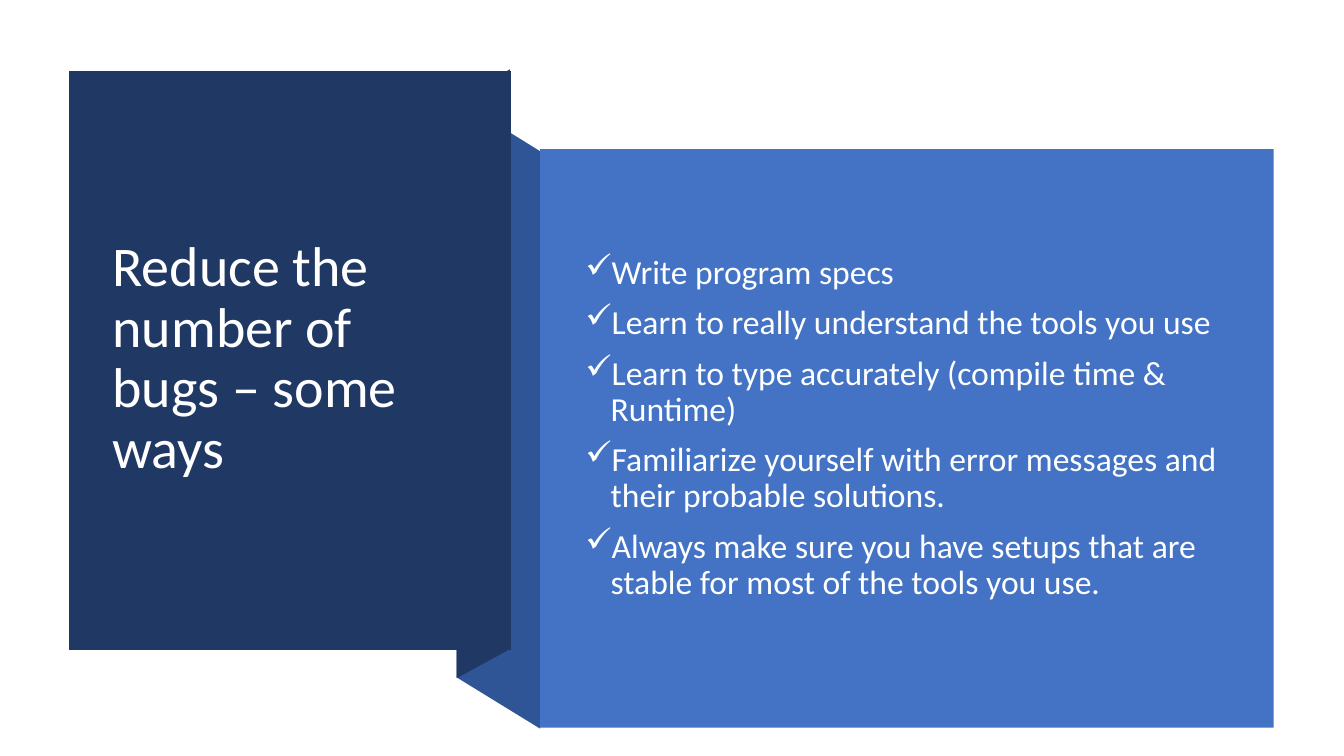
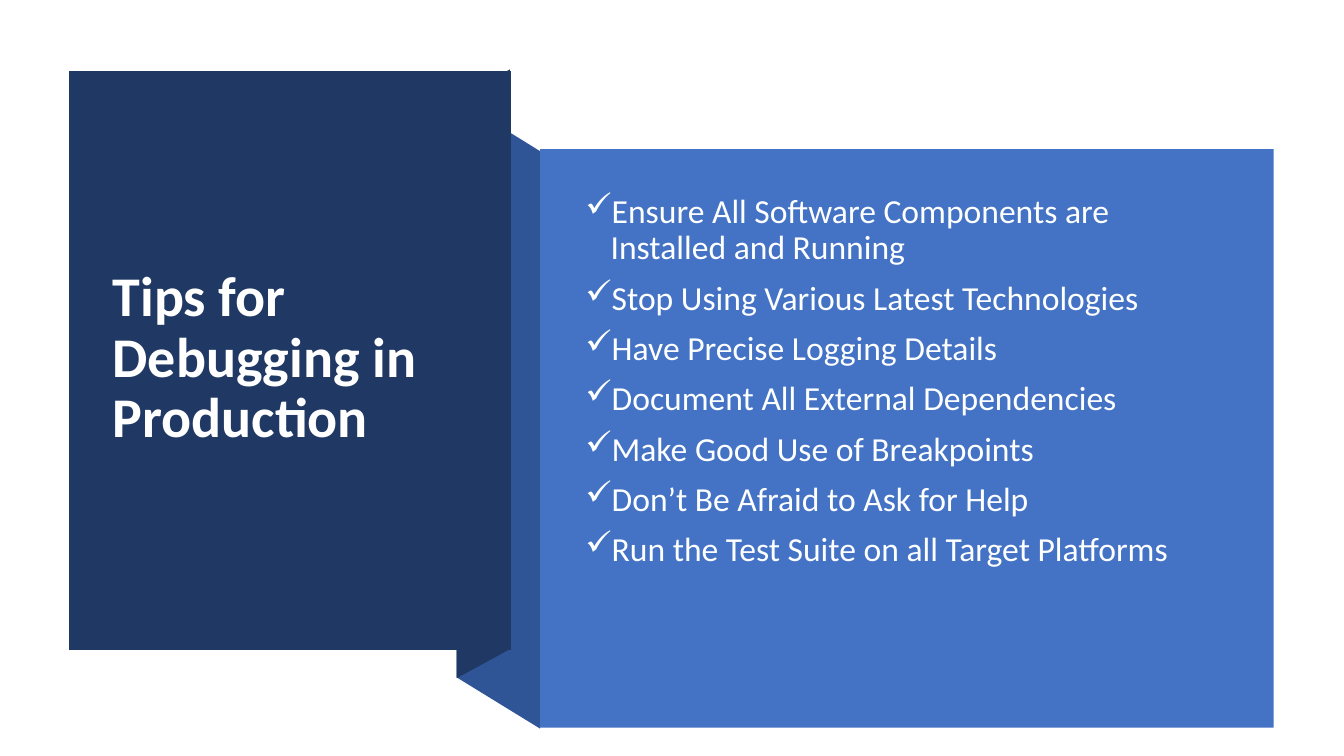
from lxml import etree
from pptx import Presentation
from pptx import util as u
from pptx.dml.color import RGBColor
from pptx.enum import shapes, text
from pptx.oxml import ns

SLIDES = [
    {
        "title": "Reduce the number of bugs – some ways",
        "bold": False,
        "anchor": text.MSO_ANCHOR.MIDDLE,
        "points": [
            "Write program specs",
            "Learn to really understand the tools you use",
            "Learn to type accurately (compile time & Runtime)",
            "Familiarize yourself with error messages and their probable solutions.",
            "Always make sure you have setups that are stable for most of the tools you use.",
        ],
    },
    {
        "title": "Tips for Debugging in Production",
        "bold": True,
        "anchor": text.MSO_ANCHOR.TOP,
        "points": [
            "Ensure All Software Components are Installed and Running",
            "Stop Using Various Latest Technologies",
            "Have Precise Logging Details",
            "Document All External Dependencies",
            "Make Good Use of Breakpoints",
            "Don’t Be Afraid to Ask for Help",
            "Run the Test Suite on all Target Platforms",
        ],
    },
]

NAVY = RGBColor(0x20, 0x38, 0x64)
FOLD_BLUE = RGBColor(0x2F, 0x55, 0x97)
PANEL_BLUE = RGBColor(0x44, 0x72, 0xC4)
WHITE = RGBColor(0xFF, 0xFF, 0xFF)
SOFT_WHITE = RGBColor(0xFE, 0xFF, 0xFF)

FONT = "Calibri"
TITLE_FONT = {"name": FONT, "size": u.Pt(40)}
BODY_FONT = {"name": FONT, "size": u.Pt(24), "bold": False}
TITLE_SPACING = {"line_spacing": 0.9}
BODY_SPACING = {"line_spacing": 0.9, "space_before": u.Pt(10)}
INDENT = u.Cm(0.64)

# Lengths in centimetres: corner points, or left, top, width, height
RIBBON = [
    (FOLD_BLUE, [(13.61, 18.36), (11.51, 17.07), (11.51, 2.51), (13.61, 3.81)]),
    (NAVY, [(12.85, 16.36), (11.51, 17.09), (11.51, 2.49), (12.85, 1.75)]),
    (NAVY, [(1.75, 1.78), (12.87, 1.78), (12.87, 16.38), (1.75, 16.38)]),
]
PANEL = (13.61, 3.76, 18.49, 14.58)
TITLE_BOX = (2.59, 2.72, 9.42, 12.67)
BODY_BOX = (14.5, 4.78, 16.54, 12.04)


def lengths(values):
    """Turn centimetre values into slide lengths."""
    return [u.Cm(value) for value in values]


def set_values(target, values):
    """Set each named attribute of the target."""
    for name, value in values.items():
        setattr(target, name, value)


def paint(shape, color):
    """Give a shape a plain fill with no line or shadow."""
    shape.shadow.inherit = False
    shape.fill.solid()
    shape.fill.fore_color.rgb = color
    shape.line.fill.background()


def add_ribbon(page):
    """Draw the folded ribbon and the title card."""
    for color, corners in RIBBON:
        start, *others = [lengths(corner) for corner in corners]
        outline = page.shapes.build_freeform(*start)
        outline.add_line_segments(others, close=True)
        paint(outline.convert_to_shape(), color)


def add_check(para):
    """Give a paragraph a check mark with a hanging indent."""
    settings = para._p.get_or_add_pPr()
    settings.set("marL", str(INDENT))
    settings.set("indent", str(-INDENT))
    etree.SubElement(settings, ns.qn("a:buChar"), char="✓")


def add_text(page, place, lines, font, spacing, color, anchor, checked=False):
    """Add a text box with one paragraph for each line."""
    box = page.shapes.add_textbox(*lengths(place))
    frame = box.text_frame
    set_values(frame, {"word_wrap": True, "vertical_anchor": anchor})
    for index, line in enumerate(lines):
        para = frame.add_paragraph() if index else frame.paragraphs[0]
        set_values(para, spacing)
        if checked:
            add_check(para)
        span = para.add_run()
        span.text = line
        set_values(span.font, font)
        span.font.color.rgb = color


def add_page(deck, content):
    """Build one slide: ribbon, title, panel and checklist."""
    page = deck.slides.add_slide(deck.slide_layouts[6])
    add_ribbon(page)
    add_text(page, TITLE_BOX, [content["title"]],
             {**TITLE_FONT, "bold": content["bold"]}, TITLE_SPACING, WHITE,
             text.MSO_ANCHOR.MIDDLE)
    panel = page.shapes.add_shape(shapes.MSO_SHAPE.RECTANGLE, *lengths(PANEL))
    paint(panel, PANEL_BLUE)
    add_text(page, BODY_BOX, content["points"], BODY_FONT, BODY_SPACING,
             SOFT_WHITE, content["anchor"], checked=True)


deck = Presentation()
set_values(deck, {"slide_width": u.Cm(33.87), "slide_height": u.Cm(19.05)})
for content in SLIDES:
    add_page(deck, content)
deck.save("out.pptx")
